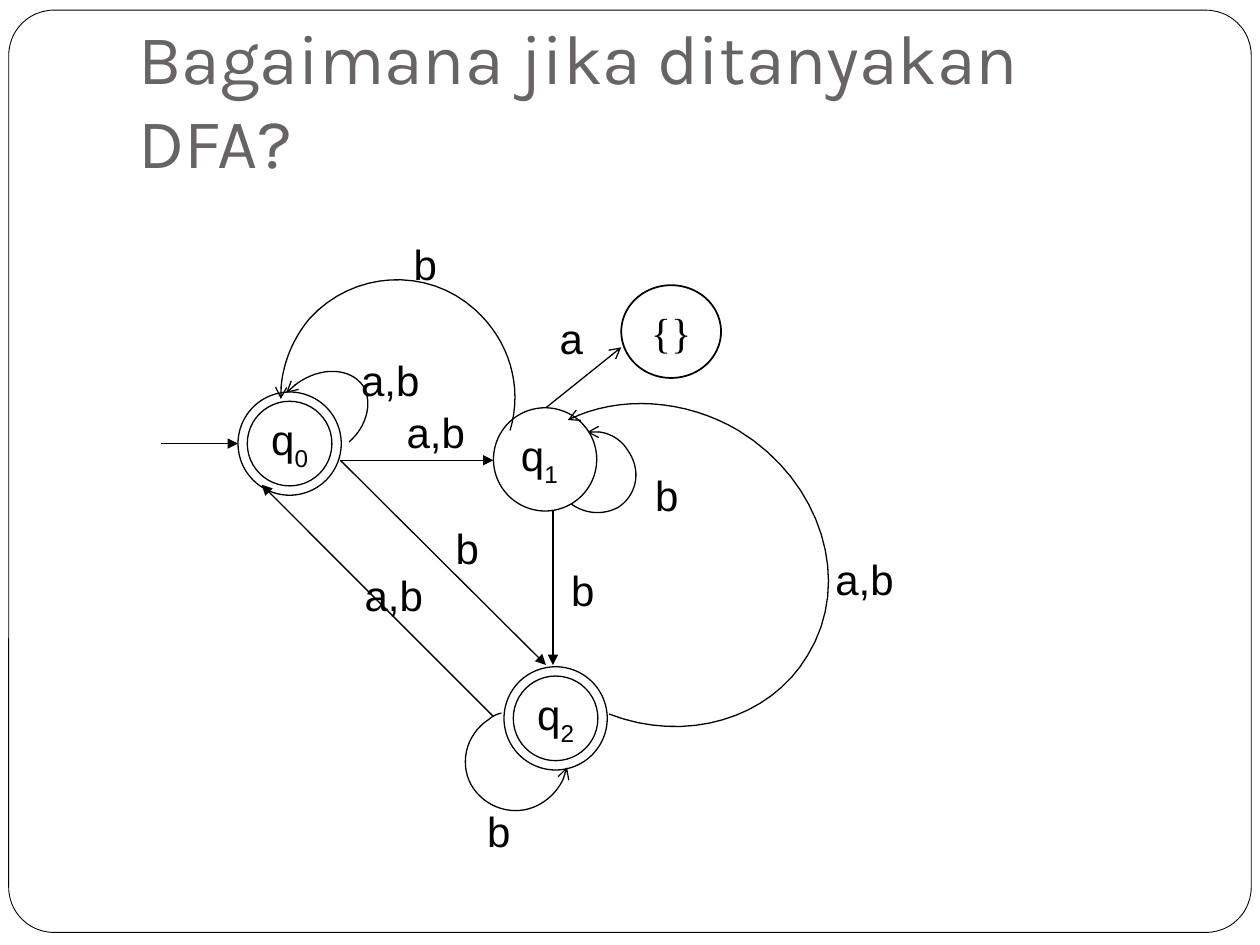
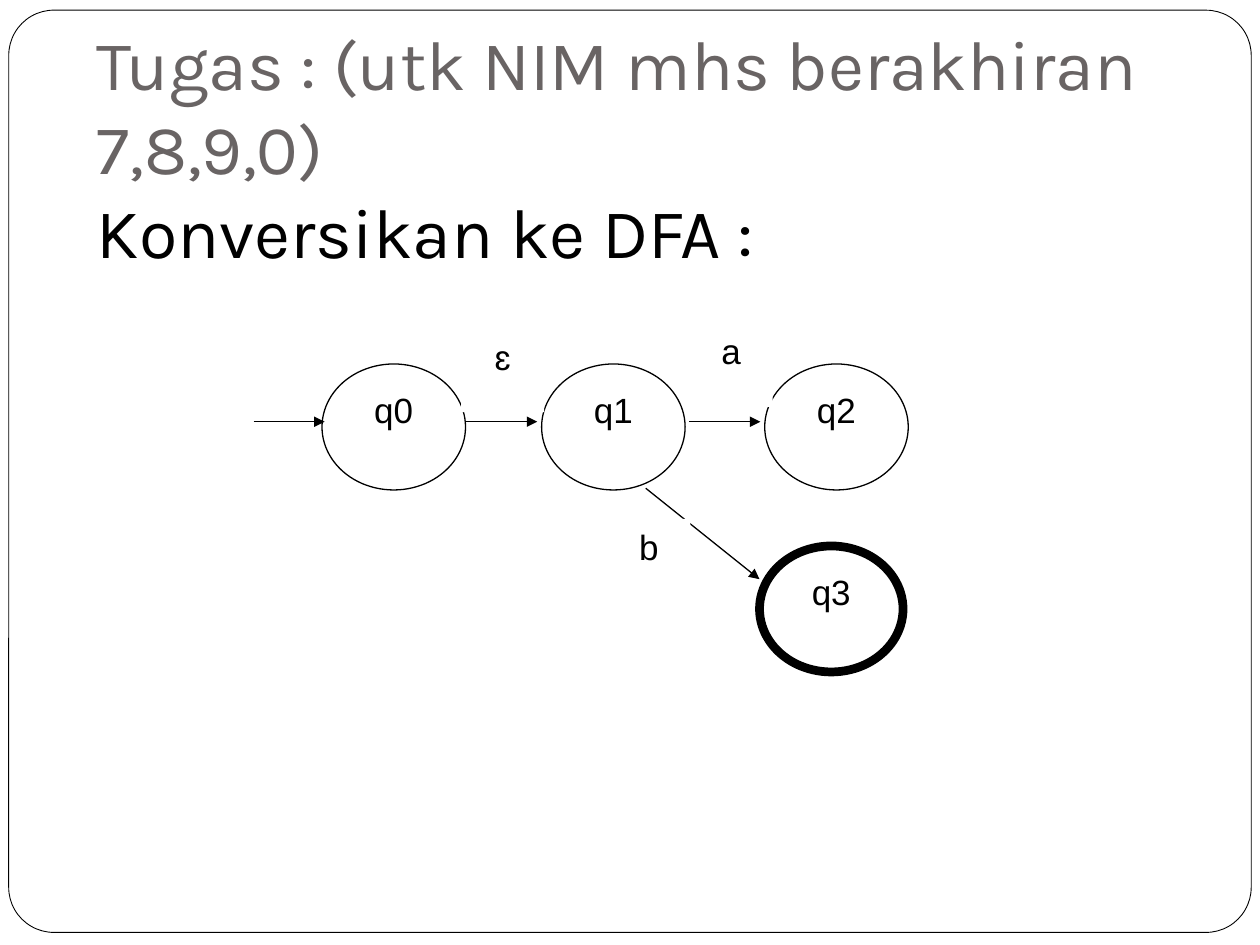
from lxml.etree import SubElement
from pptx import Presentation
from pptx.dml.color import RGBColor
from pptx.enum.shapes import MSO_CONNECTOR, MSO_SHAPE
from pptx.enum.text import MSO_ANCHOR, PP_ALIGN
from pptx.oxml.ns import qn
from pptx.util import Pt

COLORS = {"paper": "FFFFFF", "ink": "000000", "title": "696464"}
TITLE_FONT, LABEL_FONT, SET_FONT = "Karla", "Arial", "Times New Roman"
HAIRLINE = 0.75
CURVE_STEPS = 16


def color(name):
    return RGBColor.from_string(COLORS[name])


def add_run(paragraph, text, size, font=LABEL_FONT, ink="ink", subscript=False):
    run = paragraph.add_run()
    run.text = text
    run.font.size = Pt(size)
    run.font.name = font
    run.font.color.rgb = color(ink)
    if subscript:
        run._r.get_or_add_rPr().set("baseline", "-30000")


def prepare_text(shape, align=PP_ALIGN.CENTER, anchor=MSO_ANCHOR.TOP, space_after=0):
    frame = shape.text_frame
    frame.word_wrap = True
    frame.vertical_anchor = anchor
    frame.margin_left = frame.margin_right = Pt(7.2)
    frame.margin_top = frame.margin_bottom = Pt(3.6)
    paragraph = frame.paragraphs[0]
    paragraph.alignment = align
    paragraph.space_after = Pt(space_after)
    return paragraph


def add_outline(slide, kind, left, top, width, height, weight=HAIRLINE):
    """Add a white preset shape; a weight of 0 leaves out its line."""
    shape = slide.shapes.add_shape(kind, Pt(left), Pt(top), Pt(width), Pt(height))
    shape.shadow.inherit = False
    shape.fill.solid()
    shape.fill.fore_color.rgb = color("paper")
    if weight:
        shape.line.color.rgb = color("ink")
        shape.line.width = Pt(weight)
    else:
        shape.line.fill.background()
    return shape


def set_arrow(edge, end, kind):
    edge.line.color.rgb = color("ink")
    edge.line.width = Pt(HAIRLINE)
    SubElement(edge.line._get_or_add_ln(), qn(f"a:{end}"), type=kind)


def add_transition(slide, origin, start, finish, kind="triangle"):
    (x, y), (x1, y1), (x2, y2) = origin, start, finish
    edge = slide.shapes.add_connector(
        MSO_CONNECTOR.STRAIGHT, Pt(x + x1), Pt(y + y1), Pt(x + x2), Pt(y + y2))
    set_arrow(edge, "tailEnd", kind)
    SubElement(edge._element.spPr, qn("a:effectLst"))


def bezier_points(controls):
    """Sample chained cubic curves that share their end points."""
    points = [controls[0]]
    for first in range(0, len(controls) - 1, 3):
        a, b, c, d = controls[first:first + 4]
        for step in range(1, CURVE_STEPS + 1):
            t = step / CURVE_STEPS
            u = 1 - t
            points.append(tuple(
                u**3 * a[i] + 3 * u * u * t * b[i] + 3 * u * t * t * c[i] + t**3 * d[i]
                for i in (0, 1)))
    return points


def add_curved_transition(slide, origin, controls):
    """Draw a curve whose arrowhead sits at its first point."""
    points = [(Pt(origin[0] + x), Pt(origin[1] + y)) for x, y in bezier_points(controls)]
    builder = slide.shapes.build_freeform(*points[0])
    builder.add_line_segments(points[1:], close=False)
    curve = builder.convert_to_shape()
    curve.shadow.inherit = False
    curve.fill.background()
    set_arrow(curve, "headEnd", "arrow")


def add_page(deck, title_box, title_lines):
    """Add a slide with the rounded frame and a bottom-anchored title."""
    slide = deck.slides.add_slide(deck.slide_layouts[6])
    frame = add_outline(slide, MSO_SHAPE.ROUNDED_RECTANGLE, 5, 5.8, 710, 527, 0.5)
    frame.adjustments[0] = 0.049
    title = slide.shapes.add_textbox(*map(Pt, title_box))
    paragraph = prepare_text(title, PP_ALIGN.LEFT, MSO_ANCHOR.BOTTOM)
    title.text_frame.margin_bottom = Pt(7.2)
    for index, (text, ink) in enumerate(title_lines):
        if index:
            paragraph.add_line_break()
        add_run(paragraph, text, 40, TITLE_FONT, ink)
    return slide


def draw_looping_automaton(slide, origin):
    x, y = origin
    diameter, size = 59, 24

    labels = [
        ("b", 129, 0, 44), ("a,b", 105, 189, 56), ("b", 153, 162, 44),
        ("b", 219, 186, 44), ("b", 171, 324, 44), ("b", 267, 132, 44),
        ("a,b", 375, 180, 54), ("a,b", 131, 96, 52), ("a,b", 103, 66, 56),
        ("a", 212.5, 42, 44),
    ]
    for text, left, top, width in labels:
        label = slide.shapes.add_textbox(Pt(x + left), Pt(y + top), Pt(width), Pt(30))
        add_run(prepare_text(label), text, size)

    q1_loop = [
        (243.5, 114), (252, 112.5), (261.5, 116), (266.5, 124), (274.5, 135),
        (272.5, 149), (262, 156.5), (253, 162), (240.5, 161), (232, 153)]
    add_curved_transition(slide, origin, q1_loop)

    states = [
        ("0", 44, 91, MSO_SHAPE.DONUT, PP_ALIGN.CENTER),
        ("1", 190, 100, MSO_SHAPE.FLOWCHART_CONNECTOR, PP_ALIGN.LEFT),
        ("2", 196, 248, MSO_SHAPE.DONUT, PP_ALIGN.CENTER),
    ]
    for number, left, top, kind, align in states:
        state = add_outline(slide, kind, x + left, y + top, diameter, diameter)
        if kind == MSO_SHAPE.DONUT:
            state.adjustments[0] = 0.09
        paragraph = prepare_text(state, align)
        add_run(paragraph, "q", size)
        add_run(paragraph, number, size, subscript=True)

    empty_set = add_outline(
        slide, MSO_SHAPE.FLOWCHART_CONNECTOR, x + 263, y + 30, 57, 53, 1)
    add_run(prepare_text(empty_set, anchor=MSO_ANCHOR.MIDDLE), "{}", size, SET_FONT)

    q0_exit = (102.5, 130)
    transitions = [
        ((0, 120.5), (44, 120.5)), (q0_exit, (190, 130)), (q0_exit, (220, 247)),
        ((224, 159), (224, 247)), ((190, 276.5), (57.5, 144)),
    ]
    for start, finish in transitions:
        add_transition(slide, origin, start, finish)
    add_transition(slide, origin, (220, 100), (263, 65.5), "arrow")

    q0_loop = [
        (71.5, 91.5), (73.5, 89.5), (76, 87.5), (78, 86), (91.5, 76.5),
        (108, 77), (115.5, 87.5), (121, 96.5), (118, 110.5), (107.5, 119.5)]
    q2_loop = [
        (232, 305.5), (230.5, 313.5), (225.5, 320.5), (219, 325), (205.5, 334.5),
        (187.5, 330.5), (178.5, 317.5), (170, 305), (173.5, 287), (187.5, 278),
        (189.5, 276), (192.5, 275), (194.5, 274.5)]
    q2_to_q1 = [
        (232.5, 107), (262, 92.5), (299.5, 95), (330, 113), (377.5, 142),
        (395.5, 199.5), (369.5, 241.5), (348, 278), (299.5, 292), (256, 275)]
    q1_to_q0 = [
        (68.5, 95), (68, 78), (74.5, 61.5), (85, 49), (109.5, 22),
        (152, 19), (179.5, 44), (199, 61.5), (207, 88), (199.5, 113)]
    for controls in (q0_loop, q2_loop, q2_to_q1, q1_to_q0):
        add_curved_transition(slide, origin, controls)


def draw_branching_automaton(slide, origin):
    x, y = origin
    size, space_after = 20, 10

    states = [("q0", 39, 23, HAIRLINE), ("q3", 289, 127, 5),
              ("q1", 164.5, 23, HAIRLINE), ("q2", 292, 23, HAIRLINE)]
    for name, left, top, weight in states:
        state = add_outline(
            slide, MSO_SHAPE.FLOWCHART_CONNECTOR, x + left, y + top, 82, 72, weight)
        add_run(prepare_text(state, space_after=space_after), name, size)

    for left in (0, 121.5, 249):
        add_transition(slide, origin, (left, 56), (left + 40.5, 56))
    add_transition(slide, origin, (224, 94), (289, 146))

    for text, left, top in [("a", 249, 0), ("ɛ", 118.5, 3), ("b", 202, 111.5)]:
        label = add_outline(
            slide, MSO_SHAPE.RECTANGLE, x + left, y + top, 47.5, 47.5, 0)
        add_run(prepare_text(label, space_after=space_after), text, size)


def main():
    deck = Presentation()
    deck.slide_width, deck.slide_height = Pt(720), Pt(540)

    question = add_page(
        deck, (72, 21.6, 612, 90), [("Bagaimana jika ditanyakan DFA?", "title")])
    draw_looping_automaton(question, (92, 133))

    assignment = add_page(deck, (48.2, 38.9, 635.8, 123.8), [
        ("Tugas : (utk NIM mhs berakhiran 7,8,9,0)", "title"),
        ("Konversikan ke DFA :", "ink")])
    draw_branching_automaton(assignment, (145, 185))

    deck.save("out.pptx")


if __name__ == "__main__":
    main()
